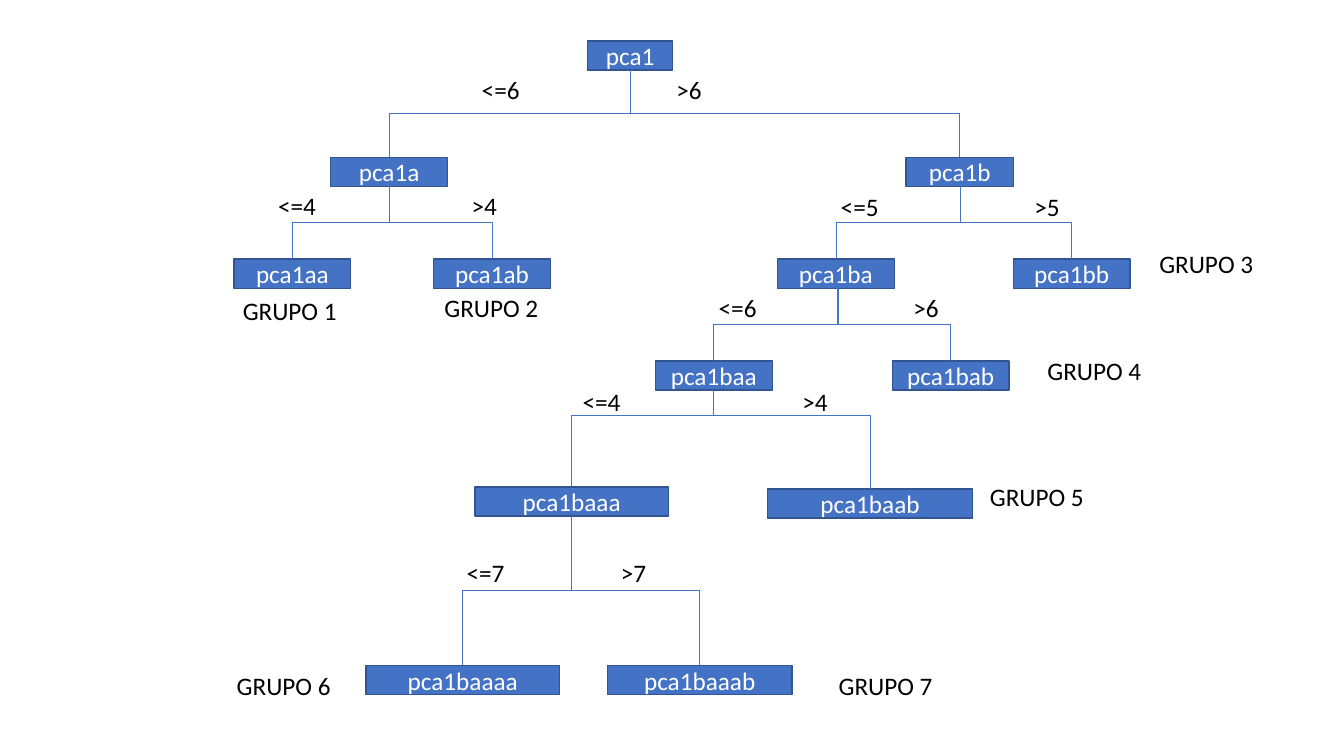
from lxml.etree import SubElement
from pptx import Presentation
from pptx.dml.color import RGBColor
from pptx.enum.shapes import MSO_CONNECTOR, MSO_SHAPE
from pptx.enum.text import MSO_ANCHOR, MSO_AUTO_SIZE, PP_ALIGN
from pptx.oxml.ns import qn
from pptx.util import Inches, Pt

BLUE = RGBColor(0x44, 0x72, 0xC4)
NAVY = RGBColor(0x32, 0x54, 0x91)
WHITE = RGBColor(255, 255, 255)
BLACK = RGBColor(0, 0, 0)
FONT = "Calibri"

CELL = Inches(0.1)  # side of one square of the grid
HIGH = 2.9          # rows in a node
SHELF = 41.2        # row where the arms of a shelf fork start

# name: (middle column, top row, columns wide)
NODES = {
    "pca1": (62.5, 4.05, 8.4),
    "pca1a": (38.6, 15.6, 11.6),
    "pca1b": (95.2, 15.6, 10.7),
    "pca1aa": (29, 25.7, 11.6),
    "pca1ab": (48.8, 25.7, 11.6),
    "pca1ba": (82.9, 25.7, 11.6),
    "pca1bb": (106.3, 25.7, 11.6),
    "pca1baa": (70.8, 35.8, 11.6),
    "pca1bab": (94.3, 35.8, 11.6),
    "pca1baaa": (56.7, 48.3, 19.2),
    "pca1baab": (86.3, 48.5, 20.3),
    "pca1baaaa": (45.9, 66, 19.2),
    "pca1baaab": (69.4, 66, 18.3),
}

# parent, stem column, cut, left and right label columns, label row
FORKS = [
    ("pca1", 62.5, 6, 46.8, 66.1, 6.9),
    ("pca1a", 38.6, 4, 26.6, 45.8, 18.4),
    ("pca1b", 95.2, 5, 82.4, 101.6, 18.5),
    ("pca1ba", 83.1, 6, 70.3, 89.6, 28.55),
    ("pca1baa", 70.8, 4, 56.8, 78.6, 37.8),
    ("pca1baaa", 56.7, 7, 45.3, 60.6, 54.8),
]

# column and row of each group label, in order
GROUPS = [(23.1, 28.8), (43.1, 28.5), (114, 24.1), (102.9, 34.8),
          (97.2, 47.3), (22.5, 66), (82.2, 66)]


def grid(*cells):
    return [int(n * CELL) for n in cells]


def write(frame, text, color):
    run = frame.paragraphs[0].add_run()
    run.text = text
    run.font.name = FONT
    run.font.size = Pt(18)
    run.font.color.rgb = color


def node(slide, name):
    mid, top, wide = NODES[name]
    box = slide.shapes.add_shape(
        MSO_SHAPE.RECTANGLE, *grid(mid - wide / 2, top, wide, HIGH))
    box.shadow.inherit = False
    box.fill.solid()
    box.fill.fore_color.rgb = BLUE
    box.line.color.rgb = NAVY
    box.line.width = Pt(1)
    frame = box.text_frame
    frame.vertical_anchor = MSO_ANCHOR.MIDDLE
    frame.paragraphs[0].alignment = PP_ALIGN.CENTER
    write(frame, name, WHITE)


def label(slide, text, left, top):
    frame = slide.shapes.add_textbox(*grid(left, top, 12, 4)).text_frame
    frame.word_wrap = True
    frame.auto_size = MSO_AUTO_SIZE.SHAPE_TO_FIT_TEXT
    write(frame, text, BLACK)


def link(slide, kind, *ends):
    line = slide.shapes.add_connector(kind, *grid(*ends))
    line.line.color.rgb = BLUE
    line.line.width = Pt(0.5)
    SubElement(line._element.spPr, qn("a:effectLst"))
    return line


def elbow(slide, x, y, far, low):
    """Go down, across and down: a bent line turned a quarter."""
    wide, high = abs(far - x), low - y
    left = (x + far - high) / 2
    top = (y + low - wide) / 2
    cols = (left, left + high) if far < x else (left + high, left)
    line = link(slide, MSO_CONNECTOR.ELBOW,
                cols[0], top, cols[1], top + wide)
    turn = 90 if far < x else 270
    line._element.spPr.find(qn("a:xfrm")).set("rot", str(turn * 60000))


def corner(slide, x, y, far, low):
    """Go across, then down."""
    line = link(slide, MSO_CONNECTOR.ELBOW, x, y, far, low)
    line._element.spPr.find(qn("a:prstGeom")).set("prst", "bentConnector2")


def fork(slide, name, stem, cut, left, right, row):
    start = NODES[name][1] + HIGH
    join = elbow
    if name == "pca1baa":
        link(slide, MSO_CONNECTOR.STRAIGHT, stem, start, stem, SHELF)
        start, join = SHELF, corner
    for side, sign, col in (("a", "<=", left), ("b", ">", right)):
        mid, top, _ = NODES[name + side]
        join(slide, stem, start, mid, top)
        label(slide, f"{sign}{cut}", col, row)


def main():
    deck = Presentation()
    deck.slide_width = Inches(13.33)
    deck.slide_height = Inches(7.5)
    slide = deck.slides.add_slide(deck.slide_layouts[6])
    for name in NODES:
        node(slide, name)
    for split in FORKS:
        fork(slide, *split)
    for rank, (left, top) in enumerate(GROUPS, 1):
        label(slide, f"GRUPO {rank}", left, top)
    deck.save("out.pptx")


if __name__ == "__main__":
    main()
